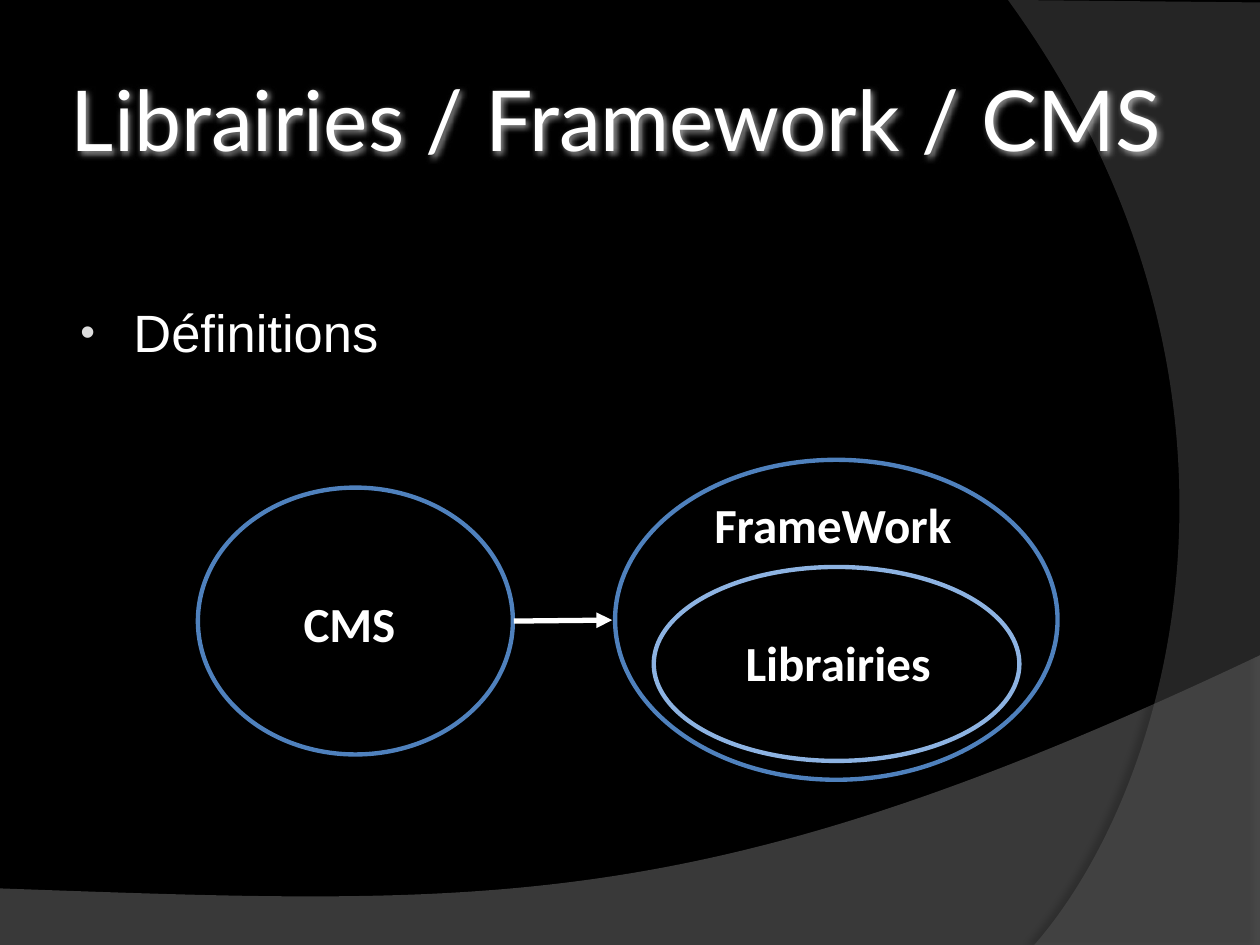
from lxml.etree import SubElement
from pptx import Presentation
from pptx.dml.color import RGBColor
from pptx.enum.shapes import MSO_CONNECTOR, MSO_SHAPE
from pptx.enum.text import MSO_ANCHOR, PP_ALIGN
from pptx.oxml import parse_xml
from pptx.oxml.ns import nsdecls, qn
from pptx.util import Cm, Pt


def color(hex_string):
    return RGBColor.from_string(hex_string)


def write(shape, text, font="Calibri", size=28, bold=False, anchor=MSO_ANCHOR.TOP, inset=0.25):
    frame = shape.text_frame
    frame.word_wrap = True
    frame.vertical_anchor = anchor
    frame.margin_left = frame.margin_right = Cm(inset)
    frame.margin_top = frame.margin_bottom = Cm(0.13)
    paragraph = frame.paragraphs[0]
    paragraph.alignment = PP_ALIGN.LEFT
    run = paragraph.add_run()
    run.text = text
    run.font.name = font
    run.font.size = Pt(size)
    run.font.bold = bold
    run.font.color.rgb = color("FFFFFF")
    return paragraph


presentation = Presentation()
presentation.slide_width = Cm(25.4)
presentation.slide_height = Cm(19.05)
slide = presentation.slides.add_slide(presentation.slide_layouts[5])
slide.background.fill.solid()
slide.background.fill.fore_color.rgb = color("000000")
shapes = slide.shapes

shadow_xml = (
    "<a:effectLst {}><a:outerShdw blurRad='{}' dist='{}' dir='{}' algn='ctr' rotWithShape='0'>"
    "<a:srgbClr val='{}'><a:alpha val='{}'/></a:srgbClr></a:outerShdw></a:effectLst>"
)

backdrops = [
    ([(0, 17.91), (0, 19.05), (25.4, 19.05), (25.4, 13.21)],
     [(14.2, 18.52), (9.93, 18.26), (0, 17.91)], "7F7F7F", 45, 35, 3.5, 270),
    ([(25.4, 0.05), (25.4, 19.05), (20.85, 19.05)],
     [(23.75, 15.72), (25.86, 7.62), (20.32, 0)], "5E5E5E", 40, 45, 4, 180),
]
for corners, curve, fill, opacity, shadow_opacity, distance, direction in backdrops:
    outline = [(Cm(x), Cm(y)) for x, y in corners + curve[-1:]]
    builder = shapes.build_freeform(*outline[0])
    builder.add_line_segments(outline[1:], close=True)
    backdrop = builder.convert_to_shape()
    backdrop.fill.solid()
    backdrop.fill.fore_color.rgb = color(fill)
    backdrop.line.fill.background()
    properties = backdrop.element.spPr
    last_side = properties.findall(".//" + qn("a:lnTo"))[-1]
    bend = parse_xml("<a:cubicBezTo {}/>".format(nsdecls("a")))
    for x, y in curve:
        SubElement(bend, qn("a:pt"), x=str(Cm(x) - backdrop.left), y=str(Cm(y) - backdrop.top))
    last_side.getparent().replace(last_side, bend)
    SubElement(properties.find(".//" + qn("a:srgbClr")), qn("a:alpha"), val=str(opacity * 1000))
    properties.append(parse_xml(shadow_xml.format(
        nsdecls("a"), Pt(4), Pt(distance), direction * 60000, "000000", shadow_opacity * 1000)))

title = shapes.title
title.left, title.top, title.width, title.height = Cm(1.3), Cm(0.79), Cm(22.8), Cm(3.18)
write(title, "Librairies / Framework / CMS", font="Lato", size=48, anchor=MSO_ANCHOR.MIDDLE, inset=0.13)
title.element.spPr.append(parse_xml(shadow_xml.format(
    nsdecls("a"), Pt(4), Pt(1), 45 * 60000, "FFFFFF", 60000)))
title.element.getparent().append(title.element)

body = shapes.add_textbox(Cm(1.27), Cm(5.92), Cm(20.75), Cm(10.5))
definition = write(body, "Définitions", font="Arial", size=30)
indents = definition._p.get_or_add_pPr()
indents.set("marL", str(Cm(1.17)))
indents.set("indent", str(Cm(-1.07)))
SubElement(SubElement(indents, qn("a:buClr")), qn("a:srgbClr"), val="DDDDDD")
SubElement(indents, qn("a:buSzPct"), val="80000")
SubElement(indents, qn("a:buFont"), typeface="Arial")
SubElement(indents, qn("a:buChar"), char="•")

sets = [
    ("FrameWork", "4F81BD", (12.4, 9.27, 8.92, 6.45), (14.15, 9.84, 5.38)),
    ("Librairies", "8DB3E2", (13.18, 11.43, 7.37, 3.91), (14.78, 12.62, 4.55)),
    ("CMS", "4F81BD", (3.99, 9.83, 6.35, 5.38), (5.87, 11.84, 2.92)),
]
for name, line, bounds, (left, top, width) in sets:
    ellipse = shapes.add_shape(MSO_SHAPE.OVAL, *map(Cm, bounds))
    ellipse.shadow.inherit = False
    ellipse.fill.background()
    ellipse.line.color.rgb = color(line)
    ellipse.line.width = Pt(2.5)
    label = shapes.add_textbox(Cm(left), Cm(top), Cm(width), Cm(1.6))
    write(label, name, bold=True).space_after = Pt(10)

arrow = shapes.add_connector(MSO_CONNECTOR.STRAIGHT, Cm(10.36), Cm(12.52), Cm(12.34), Cm(12.5))
arrow.line.color.rgb = color("FFFFFF")
arrow.line.width = Pt(3)
SubElement(arrow.line._get_or_add_ln(), qn("a:tailEnd"), type="triangle")
SubElement(arrow._element.spPr, qn("a:effectLst"))

presentation.save("out.pptx")
